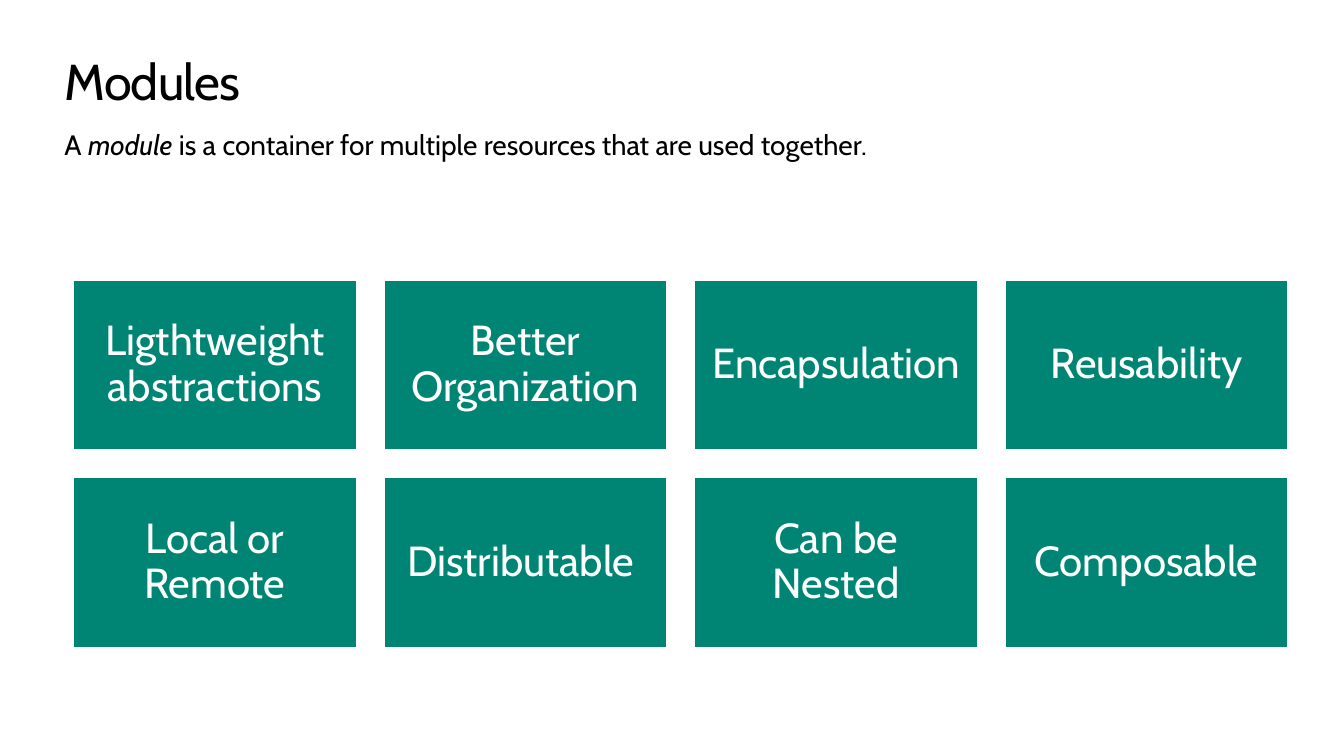
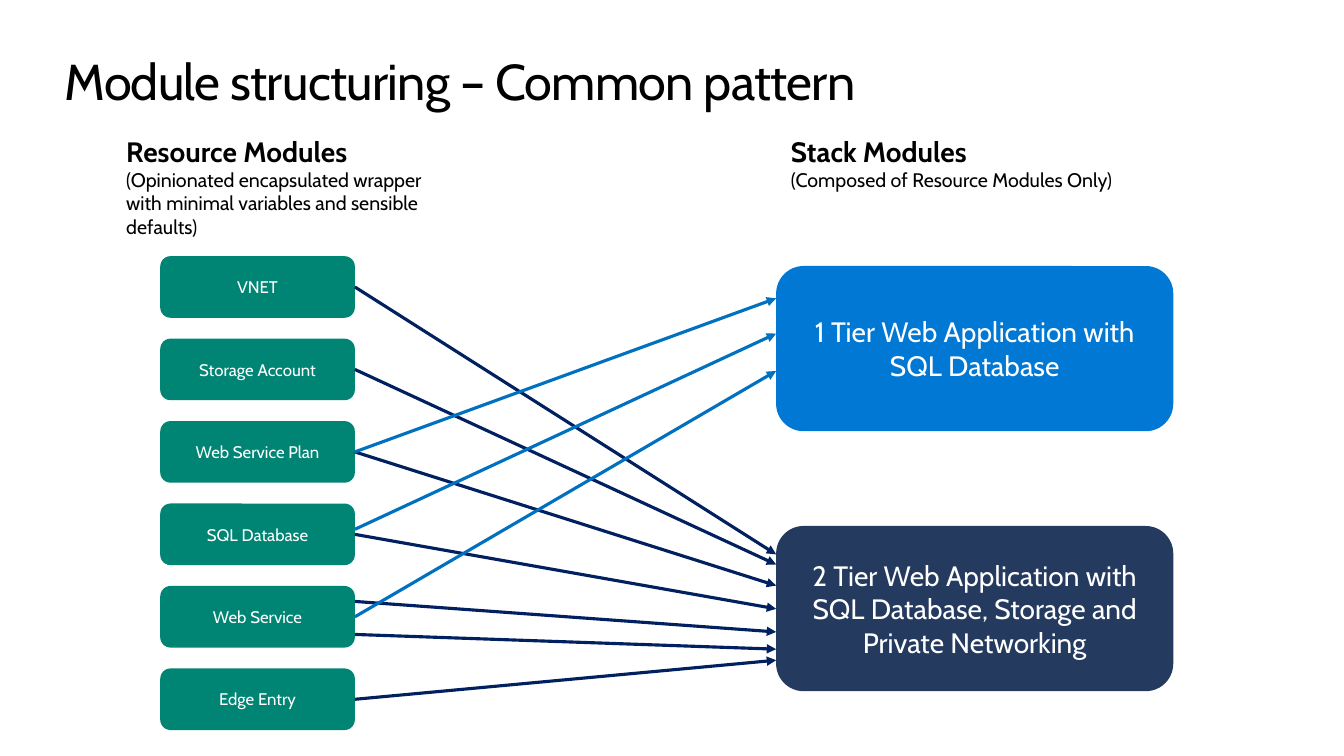
from dataclasses import dataclass
from lxml.etree import SubElement
from pptx import Presentation
from pptx.dml.color import RGBColor
from pptx.enum.shapes import MSO_CONNECTOR, MSO_SHAPE
from pptx.enum.text import MSO_ANCHOR, MSO_AUTO_SIZE, PP_ALIGN
from pptx.oxml.ns import qn
from pptx.presentation import Presentation as Deck
from pptx.slide import Slide
from pptx.text.text import TextFrame, _Run as Run
from pptx.util import Pt

FONT = "Cabin"
BLACK, WHITE, TEAL = "000000", "FFFFFF", "008575"
AZURE, NAVY = "0078D4", "243A5E"
BLUE, DARK = "0070C0", "002060"

LEFT, WIDTH = 46, 868
CARD_X, CARD_Y, CARD_W, CARD_H = 52.6, 200.2, 201.9, 121.1
CARD_DX, CARD_DY, COLS = 221.8, 141.1, 4
NODE_X, NODE_Y, NODE_W, NODE_H, NODE_DY = 114.5, 183, 139, 44, 58.9
STACK_X, STACK_W, STACK_H = 554.4, 283.7, 118


@dataclass
class Box:
    text: str
    x: float
    y: float
    w: float
    h: float
    fill: str = TEAL
    size: float = 12
    kind: MSO_SHAPE = MSO_SHAPE.ROUNDED_RECTANGLE
    pad: tuple[float, float] = (14.4, 11.5)
    edge: str = ""
    lead: float = 1


@dataclass
class Head:
    text: str
    note: str
    x: float
    w: float
    h: float


@dataclass
class Link:
    row: int
    shift: float
    end: float
    color: str = DARK


CARDS = ["Ligthtweight abstractions", "Better Organization", "Encapsulation", "Reusability",
         "Local or Remote", "Distributable ", "Can be Nested", "Composable"]
NODES = ["VNET", "Storage Account", "Web Service Plan", "SQL Database", "Web Service", "Edge Entry"]
STACKS = [
    Box("1 Tier Web Application with SQL Database",
        STACK_X, 190, STACK_W, STACK_H, AZURE, 20),
    Box("2 Tier Web Application with SQL Database, Storage and Private Networking",
        STACK_X, 375.7, STACK_W, STACK_H, NAVY, 20),
]
HEADS = [
    Head("Resource Modules",
         "(Opinionated encapsulated wrapper with minimal variables and sensible defaults)",
         90.2, 233.3, 75),
    Head("Stack Modules", "(Composed of Resource Modules Only)", 565, 246.2, 41),
]
LINKS = [
    Link(0, 0, 396), Link(1, 0, 403.2), Link(2, 0, 418.3), Link(3, 0, 434.9),
    Link(4, -11, 451.4), Link(5, 0, 471.6),
    Link(2, 0, 213.1, BLUE), Link(3, -3.6, 238.3, BLUE), Link(4, 0, 265, BLUE),
    Link(4, 12.6, 463.7),
]


def paint(code: str) -> RGBColor:
    return RGBColor.from_string(code)


def style(run: Run, size: float, color: str = BLACK,
          bold: bool = False, slant: bool = False) -> None:
    font = run.font
    font.name, font.size = FONT, Pt(size)
    font.bold, font.italic = bold, slant
    font.color.rgb = paint(color)


def inset(frame: TextFrame, x: float = 0, y: float = 0) -> None:
    frame.margin_left = frame.margin_right = Pt(x)
    frame.margin_top = frame.margin_bottom = Pt(y)
    frame.word_wrap = True
    frame.auto_size = MSO_AUTO_SIZE.NONE


def page(deck: Deck, text: str) -> Slide:
    slide = deck.slides.add_slide(deck.slide_layouts[5])
    title = slide.shapes.title
    title.left, title.top, title.width, title.height = Pt(LEFT), Pt(36), Pt(WIDTH), Pt(44)
    frame = title.text_frame
    frame.text = text
    inset(frame)
    frame.vertical_anchor = MSO_ANCHOR.TOP
    line = frame.paragraphs[0]
    line.alignment = PP_ALIGN.LEFT
    style(line.runs[0], 36)
    line.runs[0].font._element.set("spc", "-50")
    return slide


def label(slide: Slide, x: float, y: float, w: float, h: float) -> TextFrame:
    frame = slide.shapes.add_textbox(Pt(x), Pt(y), Pt(w), Pt(h)).text_frame
    inset(frame)
    return frame


def block(slide: Slide, box: Box) -> None:
    shape = slide.shapes.add_shape(box.kind, Pt(box.x), Pt(box.y), Pt(box.w), Pt(box.h))
    shape.shadow.inherit = False
    shape.fill.solid()
    shape.fill.fore_color.rgb = paint(box.fill)
    if box.edge:
        shape.line.color.rgb = paint(box.edge)
        shape.line.width = Pt(0.85)
    else:
        shape.line.fill.background()
    frame = shape.text_frame
    frame.text = box.text
    inset(frame, *box.pad)
    frame.vertical_anchor = MSO_ANCHOR.MIDDLE
    line = frame.paragraphs[0]
    line.alignment = PP_ALIGN.CENTER
    line.line_spacing = box.lead
    style(line.runs[0], box.size, WHITE)


def header(slide: Slide, head: Head) -> None:
    frame = label(slide, head.x, 95.8, head.w, head.h)
    frame.text = f"{head.text}\n{head.note}"
    top, note = frame.paragraphs
    style(top.runs[0], 20, bold=True)
    style(note.runs[0], 14)


def arrow(slide: Slide, link: Link) -> None:
    start = NODE_Y + link.row * NODE_DY + NODE_H / 2 + link.shift
    wire = slide.shapes.add_connector(
        MSO_CONNECTOR.STRAIGHT, Pt(NODE_X + NODE_W), Pt(start), Pt(STACK_X), Pt(link.end))
    wire.line.color.rgb = paint(link.color)
    wire.line.width = Pt(2.25)
    SubElement(wire.line._get_or_add_ln(), qn("a:tailEnd"), type="triangle")
    SubElement(wire._element.spPr, qn("a:effectLst"))


def traits(deck: Deck) -> None:
    slide = page(deck, "Modules")
    line = label(slide, LEFT, 91.4, WIDTH, 24.5).paragraphs[0]
    for text, slant in [("A ", False), ("module", True),
                        (" is a container for multiple resources that are used together.", False)]:
        run = line.add_run()
        run.text = text
        style(run, 20, slant=slant)
    for i, text in enumerate(CARDS):
        row, col = divmod(i, COLS)
        block(slide, Box(text, CARD_X + col * CARD_DX, CARD_Y + row * CARD_DY, CARD_W, CARD_H,
                         size=30, kind=MSO_SHAPE.RECTANGLE, pad=(8.6, 8.6), edge=WHITE, lead=0.9))


def pattern(deck: Deck) -> None:
    slide = page(deck, "Module structuring – Common pattern")
    for head in HEADS:
        header(slide, head)
    for i, text in enumerate(NODES):
        block(slide, Box(text, NODE_X, NODE_Y + i * NODE_DY, NODE_W, NODE_H))
    for stack in STACKS:
        block(slide, stack)
    for link in LINKS:
        arrow(slide, link)


def main() -> None:
    deck = Presentation()
    deck.slide_width, deck.slide_height = Pt(960), Pt(540)
    traits(deck)
    pattern(deck)
    deck.save("out.pptx")


if __name__ == "__main__":
    main()
